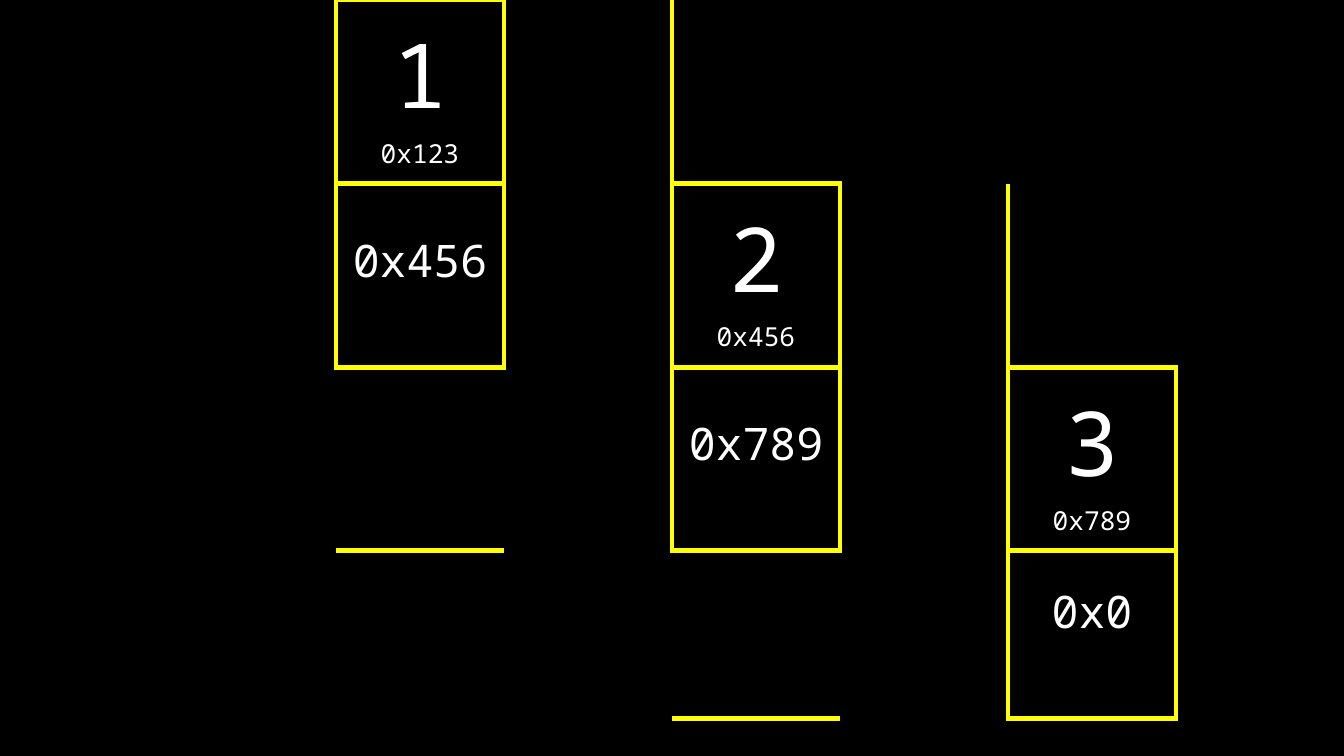
from dataclasses import dataclass

from lxml import etree
from pptx import Presentation
from pptx.dml.color import RGBColor
from pptx.enum.text import MSO_ANCHOR, PP_ALIGN
from pptx.oxml.ns import qn
from pptx.util import Pt

MIDDLE, BOTTOM = MSO_ANCHOR.MIDDLE, MSO_ANCHOR.BOTTOM
CENTER = PP_ALIGN.CENTER

BLACK = RGBColor(0x00, 0x00, 0x00)
WHITE = RGBColor(0xFF, 0xFF, 0xFF)
YELLOW = RGBColor(0xFF, 0xFF, 0x00)
FONT = "Noto Sans Mono"
PLAIN_TABLE_STYLE = "{2D5ABB26-0587-4C30-8999-92F81FD0307C}"

PX_PER_INCH = 134.4
SLIDE_WIDTH, SLIDE_HEIGHT = 1344, 756
CELL_SIZE = 168
INSET = 13
POINTER_BOTTOM_INSET = 77
ROWS, COLUMNS = 5, 8

# Each edge: row step, column step and edge of the neighbour that shares it
EDGES = {
    "lnL": (0, -1, "lnR"),
    "lnR": (0, 1, "lnL"),
    "lnT": (-1, 0, "lnB"),
    "lnB": (1, 0, "lnT"),
}


@dataclass(frozen=True)
class Node:
    value: str
    address: str
    pointer: str


NODES = [
    Node("1", "0x123", "0x456"),
    Node("2", "0x456", "0x789"),
    Node("3", "0x789", "0x0"),
]


def px(length: int) -> int:
    return round(length * 914400 / PX_PER_INCH)


def write_cell(cell, lines: list[tuple[str, int]], anchor, bottom: int) -> None:
    cell.vertical_anchor = anchor
    cell.margin_left = cell.margin_right = cell.margin_top = px(INSET)
    cell.margin_bottom = px(bottom)
    cell.text_frame.text = "\n".join(text for text, _ in lines)
    for para, (_, size) in zip(cell.text_frame.paragraphs, lines):
        para.alignment = CENTER
        font = para.runs[0].font
        font.name, font.size = FONT, Pt(size)
        font.color.rgb = WHITE


def draw_edges(cell, edges: set[str]) -> None:
    properties = cell._tc.get_or_add_tcPr()
    present = [edge for edge in EDGES if edge in edges]
    for position, edge in enumerate(present):
        line = etree.Element(qn(f"a:{edge}"), w=str(Pt(3)))
        fill = etree.SubElement(line, qn("a:solidFill"))
        etree.SubElement(fill, qn("a:srgbClr"), val=str(YELLOW))
        properties.insert(position, line)


def add_grid(page):
    frame = page.shapes.add_table(
        ROWS, COLUMNS, 0, 0, px(COLUMNS * CELL_SIZE), px(ROWS * CELL_SIZE)
    )
    table = frame.table
    table.first_row = table.horz_banding = False
    table._tbl.tblPr.find(qn("a:tableStyleId")).text = PLAIN_TABLE_STYLE
    for column in table.columns:
        column.width = px(CELL_SIZE)
    for row in table.rows:
        row.height = px(CELL_SIZE)
    for cell in table.iter_cells():
        cell.fill.background()
    return table


def add_nodes(table, nodes: list[Node]) -> None:
    edges: dict[tuple[int, int], set[str]] = {}
    for index, node in enumerate(nodes):
        column = 2 + 2 * index
        # Value with its address above, pointer to the next node below
        write_cell(table.cell(index, column),
                   [(node.value, 48), (node.address, 14)], MIDDLE, INSET)
        write_cell(table.cell(index + 1, column),
                   [(node.pointer, 24)], BOTTOM, POINTER_BOTTOM_INSET)
        # Frame both cells, on each side of every shared edge
        for row in (index, index + 1):
            for edge, (down, right, opposite) in EDGES.items():
                edges.setdefault((row, column), set()).add(edge)
                if row + down >= 0:
                    neighbour = (row + down, column + right)
                    edges.setdefault(neighbour, set()).add(opposite)
    for (row, column), names in edges.items():
        draw_edges(table.cell(row, column), names)


def main() -> None:
    deck = Presentation()
    deck.slide_width, deck.slide_height = px(SLIDE_WIDTH), px(SLIDE_HEIGHT)
    page = deck.slides.add_slide(deck.slide_layouts[6])
    page.background.fill.solid()
    page.background.fill.fore_color.rgb = BLACK
    add_nodes(add_grid(page), NODES)
    deck.save("out.pptx")


if __name__ == "__main__":
    main()
